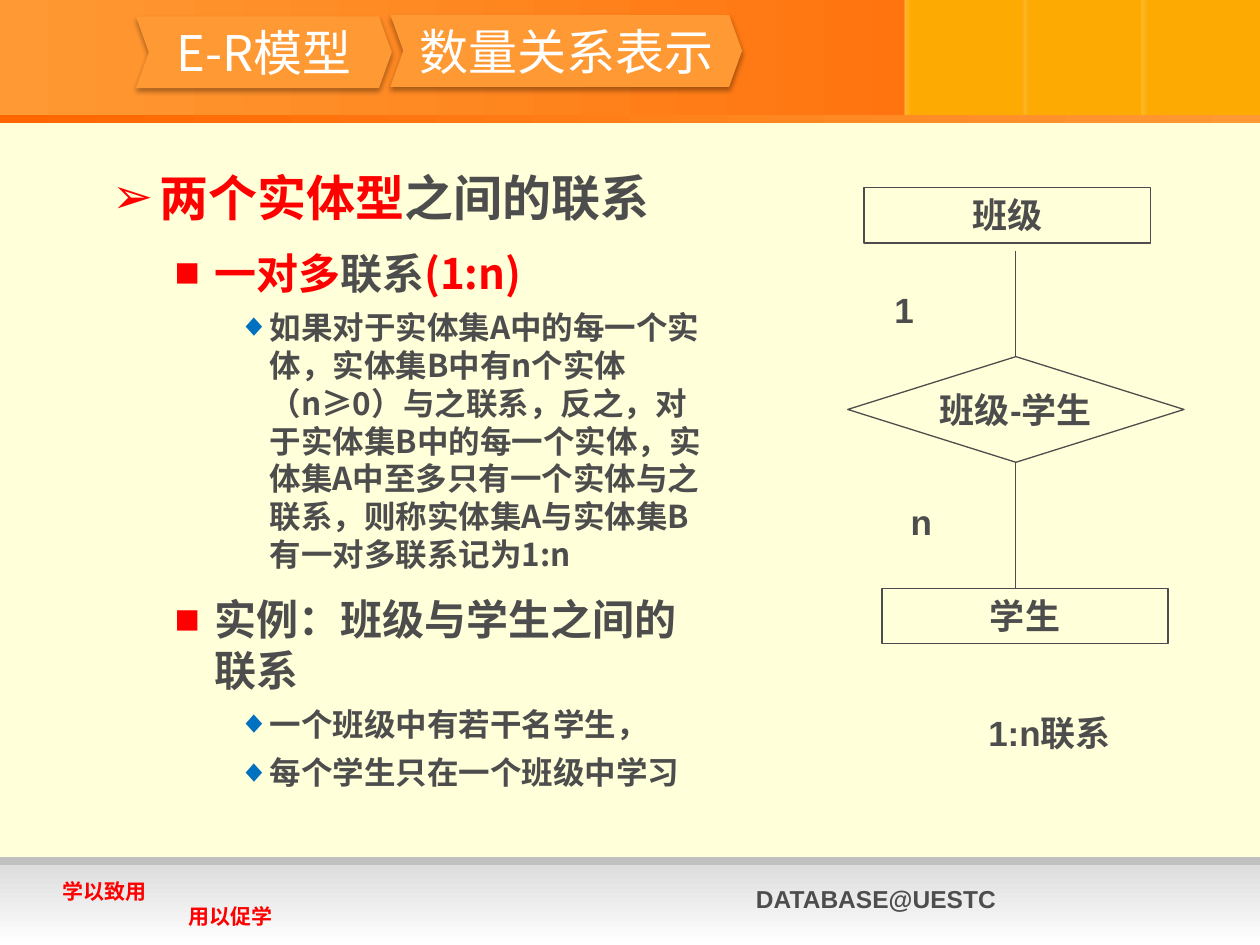
"""Build the slide on one-to-many relationships in the E-R model."""
import lxml.etree
import pptx
import pptx.dml.color
import pptx.enum.shapes
import pptx.enum.text
import pptx.oxml
import pptx.oxml.ns
import pptx.util

Cm = pptx.util.Cm
Pt = pptx.util.Pt
RGBColor = pptx.dml.color.RGBColor
Shape = pptx.enum.shapes.MSO_SHAPE
Align = pptx.enum.text.PP_ALIGN
Anchor = pptx.enum.text.MSO_ANCHOR
qn = pptx.oxml.ns.qn

CREAM = RGBColor(0xFF, 0xFF, 0xD9)
ORANGE = RGBColor(0xFF, 0x99, 0x33)
DEEP_ORANGE = RGBColor(0xFF, 0x66, 0x00)
AMBER = RGBColor(0xFD, 0xAA, 0x03)
SILVER = RGBColor(0xC0, 0xC0, 0xC0)
PALE_GREY = RGBColor(0xDD, 0xDD, 0xDD)
WHITE = RGBColor(0xFF, 0xFF, 0xFF)
INK = RGBColor(0x4D, 0x4D, 0x4D)
RED = RGBColor(0xFF, 0x00, 0x00)
BLUE = RGBColor(0x00, 0x70, 0xC0)
LATIN = "Arial"
HAN = "Noto Sans CJK SC"


class Page:
    """Holds the style and the current slide, and draws each kind of element."""

    levels = (
        dict(size=28, left=0.96, hang=0.96, before=12, mark="➢", tint=RED),
        dict(size=24, left=2.06, hang=0.8, before=12, mark="■", tint=RED),
        dict(size=18, left=3.18, hang=0.64, before=6, mark="◆", tint=BLUE),
    )

    def __init__(self, deck):
        self.slide = deck.slides.add_slide(deck.slide_layouts[6])
        self.slide.background.fill.solid()
        self.slide.background.fill.fore_color.rgb = CREAM

    def shape(self, kind, place, fill=None, line=None):
        shape = self.slide.shapes.add_shape(kind, *map(Cm, place))
        shape.shadow.inherit = False
        if fill is None:
            shape.fill.background()
        else:
            shape.fill.solid()
            shape.fill.fore_color.rgb = fill
        if line is None:
            shape.line.fill.background()
        else:
            shape.line.color.rgb = line
            shape.line.width = Pt(0.75)
        return shape

    def gradient(self, place, colours, angle=0, opacity=None):
        shape = self.shape(Shape.RECTANGLE, place)
        shape.fill.gradient()
        shape.fill.gradient_angle = angle
        for stop, colour in zip(shape.fill.gradient_stops, colours):
            stop.color.rgb = colour
        if opacity:
            stops = shape._element.spPr.iter(qn("a:srgbClr"))
            for colour, percent in zip(stops, opacity):
                lxml.etree.SubElement(colour, qn("a:alpha"), val=str(percent * 1000))

    def font(self, paragraph, size, name, bold, colour=None):
        font = paragraph.font
        font.size, font.name, font.bold = Pt(size), name, bold
        if colour is not None:
            font.color.rgb = colour
        latin = font._element.find(qn("a:latin"))
        east = lxml.etree.Element(qn("a:ea"), typeface=HAN)
        latin.addnext(east)

    def label(self, shape, text, size=20, name=LATIN, bold=True, colour=INK,
              align=Align.CENTER, anchor=Anchor.TOP, wrap=True):
        frame = shape.text_frame
        frame.word_wrap, frame.vertical_anchor = wrap, anchor
        paragraph = frame.paragraphs[0]
        paragraph.text, paragraph.alignment = text, align
        self.font(paragraph, size, name, bold, colour)

    def text(self, place, text, **style):
        box = self.slide.shapes.add_textbox(*map(Cm, place))
        self.label(box, text, **style)
        return box

    def chevron(self, place, text):
        shape = self.shape(Shape.CHEVRON, place, ORANGE)
        shape.adjustments[0] = 0.18
        effects = shape._element.spPr.find(qn("a:effectLst"))
        shadow = lxml.etree.SubElement(
            effects, qn("a:outerShdw"), blurRad=str(Pt(3.1)), dist=str(Pt(1.8)),
            dir="5400000", rotWithShape="0")
        black = lxml.etree.SubElement(shadow, qn("a:srgbClr"), val="000000")
        lxml.etree.SubElement(black, qn("a:alpha"), val="35000")
        self.label(shape, text, 28, HAN, False, WHITE, anchor=Anchor.MIDDLE)

    def line(self, x, top, bottom):
        line = self.slide.shapes.add_connector(
            pptx.enum.shapes.MSO_CONNECTOR.STRAIGHT, Cm(x), Cm(top), Cm(x), Cm(bottom))
        line.line.color.rgb = INK
        line.line.width = Pt(0.75)
        lxml.etree.SubElement(line._element.spPr, qn("a:effectLst"))

    def outline(self, place, items):
        frame = self.slide.shapes.add_textbox(*map(Cm, place)).text_frame
        frame.word_wrap = True
        for index, (level, spans) in enumerate(items):
            paragraph = frame.add_paragraph() if index else frame.paragraphs[0]
            style = self.levels[level]
            paragraph.level = level
            if index:
                paragraph.space_before = Pt(style["before"])
            properties = paragraph._element.get_or_add_pPr()
            properties.set("marL", str(Cm(style["left"])))
            properties.set("indent", str(-Cm(style["hang"])))
            tint = lxml.etree.SubElement(properties, qn("a:buClr"))
            lxml.etree.SubElement(tint, qn("a:srgbClr"), val=str(style["tint"]))
            lxml.etree.SubElement(properties, qn("a:buFont"), typeface=LATIN)
            lxml.etree.SubElement(properties, qn("a:buChar"), char=style["mark"])
            self.font(paragraph, style["size"], HAN, True)
            for words, colour in spans:
                span = paragraph.add_run()
                span.text = words
                span.font.color.rgb = colour


def main():
    deck = pptx.Presentation()
    deck.slide_width, deck.slide_height = Cm(25.4), Cm(19.05)
    page = Page(deck)

    page.gradient((0, 0, 25.4, 2.49), (ORANGE, DEEP_ORANGE))
    for column in range(3):
        left = 18.24 + 2.39 * column
        page.shape(Shape.RECTANGLE, (left, 0, 2.39, 2.34), AMBER)
        page.gradient((left, 0, 0.13, 2.34), (CREAM, AMBER), opacity=(18, 15))
    page.gradient((0, 2.31, 25.4, 0.18), (DEEP_ORANGE, ORANGE))
    page.shape(Shape.RECTANGLE, (0, 17.28, 25.4, 0.74), SILVER)
    page.gradient((0, 17.44, 25.4, 1.61), (PALE_GREY, WHITE), angle=270)

    page.text((14.99, 17.7, 8.76, 0.86), "DATABASE@UESTC", size=14, align=Align.LEFT)
    motto = page.text((1.02, 17.58, 5.08, 1.27), "学以致用", size=12,
                      colour=RED, align=Align.LEFT)
    second = motto.text_frame.add_paragraph()
    second.text = "用以促学"
    second._element.get_or_add_pPr().set("marL", str(Cm(2.54)))
    page.font(second, 12, LATIN, True, RED)

    page.outline((2.01, 3.25, 12.52, 13), (
        (0, (("两个实体型", RED), ("之间的联系", INK))),
        (1, (("一对多", RED), ("联系", INK), ("(1:n)", RED))),
        (2, (("如果对于实体集A中的每一个实体，实体集B中有n个实体（n≥0）与之联系，"
              "反之，对于实体集B中的每一个实体，实体集A中至多只有一个实体与之联系，"
              "则称实体集A与实体集B有一对多联系记为1:n", INK),)),
        (1, (("实例：班级与学生之间的联系", INK),)),
        (2, (("一个班级中有若干名学生，", INK),)),
        (2, (("每个学生只在一个班级中学习", INK),)),
    ))

    page.chevron((2.74, 0.33, 5.16, 1.45), "E-R模型")
    page.chevron((7.87, 0.3, 7.09, 1.45), "数量关系表示")

    for left, top, name in ((17.42, 3.78, "班级"), (17.78, 11.86, "学生")):
        entity = page.shape(Shape.RECTANGLE, (left, top, 5.77, 1.12), line=INK)
        page.label(entity, name)
    relation = page.shape(Shape.DIAMOND, (17.09, 7.19, 6.78, 2.13), line=INK)
    page.label(relation, "班级-学生", anchor=Anchor.MIDDLE, wrap=False)
    page.line(20.47, 5.05, 7.19)
    page.line(20.47, 9.32, 11.86)
    for left, top, count in ((17.78, 5.69, "1"), (18.11, 9.96, "n")):
        page.text((left, top, 1.7, 1.12), count, align=Align.LEFT)
    page.text((18.11, 14.22, 6.1, 1.12), "1:n联系")

    deck.save("out.pptx")


if __name__ == "__main__":
    main()
